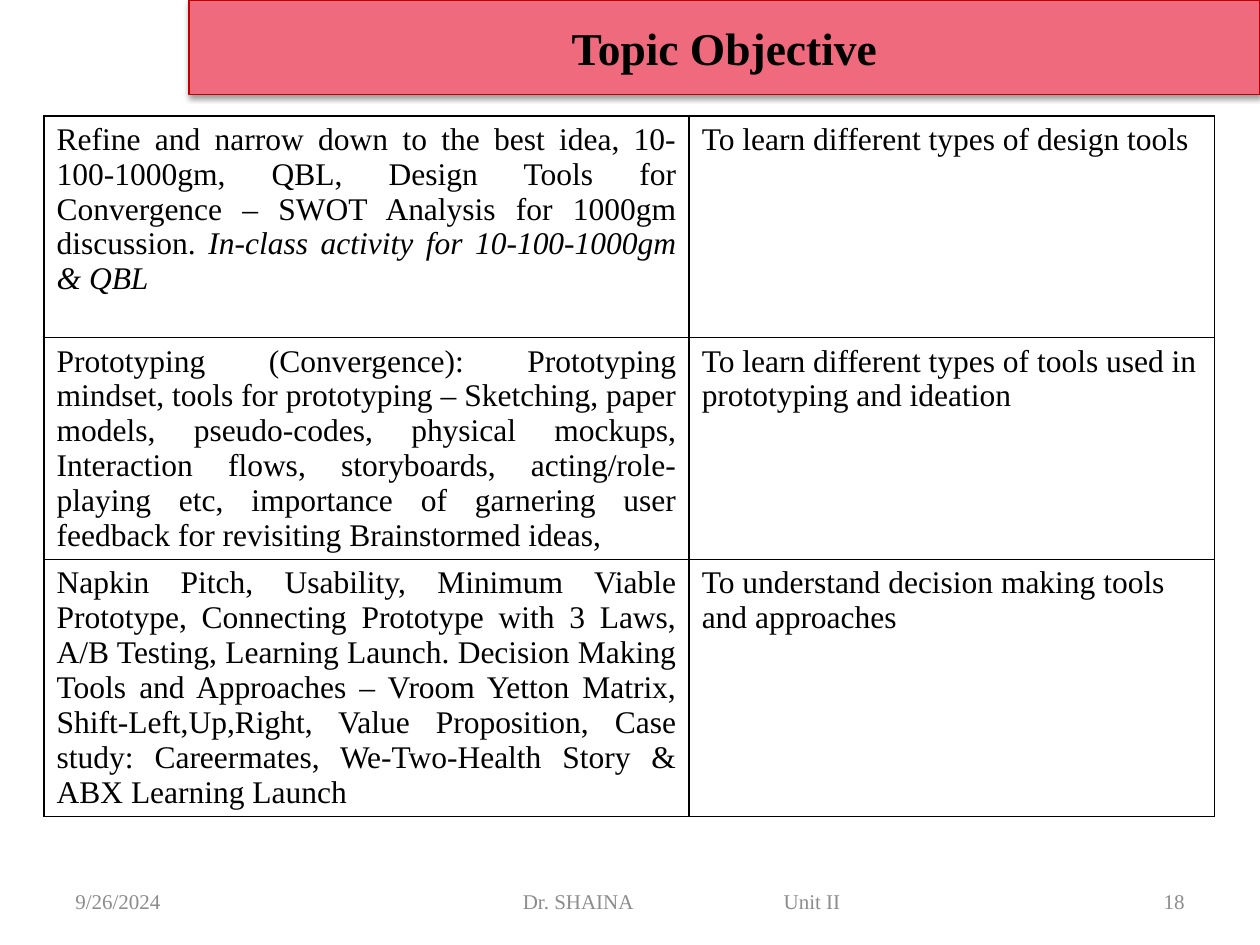
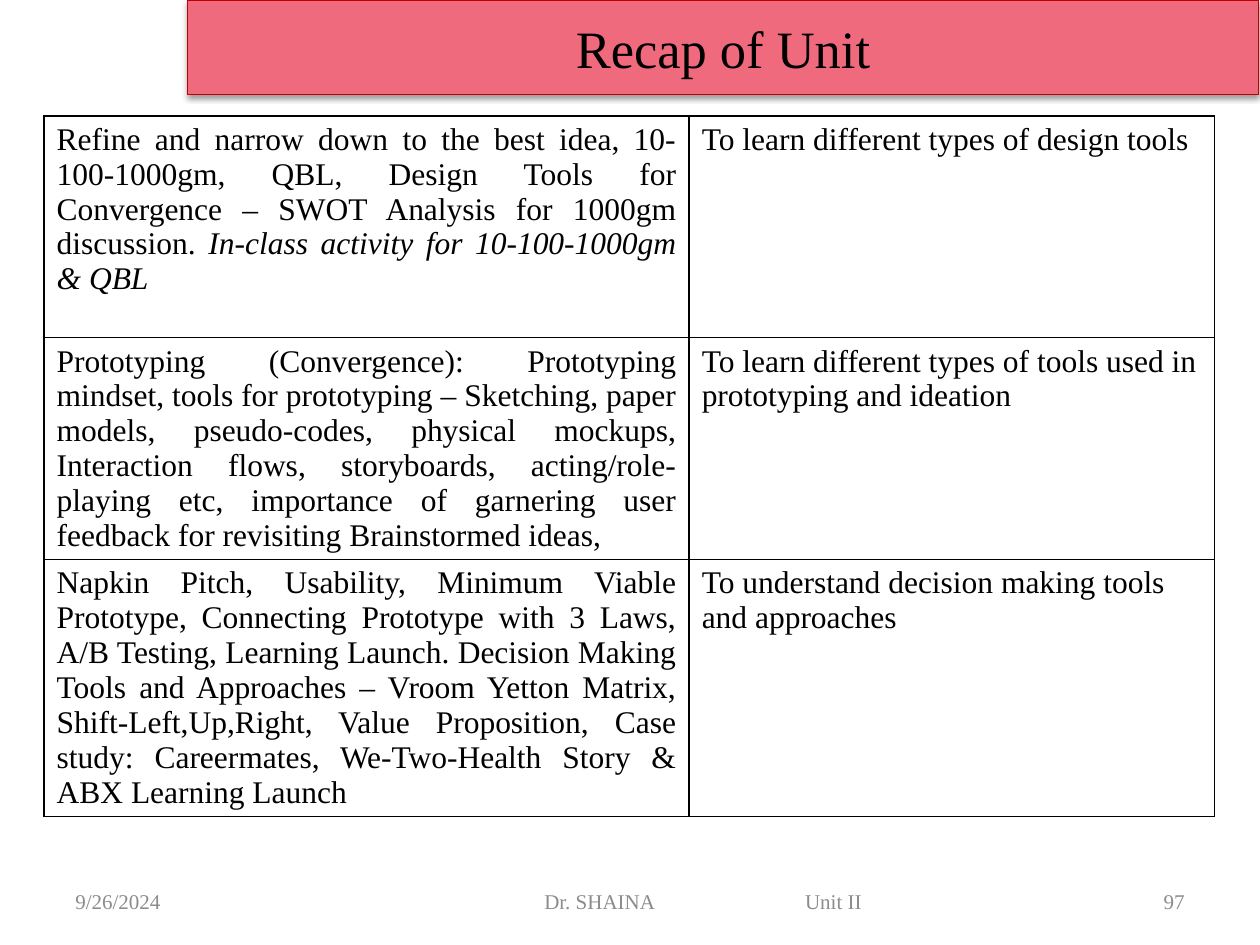
from lxml.etree import SubElement
from pptx import Presentation
from pptx.dml.color import RGBColor
from pptx.enum.text import MSO_ANCHOR, MSO_AUTO_SIZE, PP_ALIGN
from pptx.oxml import parse_xml
from pptx.oxml.ns import nsdecls, qn
from pptx.util import Inches, Pt

FONT = "Times New Roman"
BAND_FILL = RGBColor(0xF0, 0x6A, 0x7D)
BAND_LINE = RGBColor(0xC0, 0x00, 0x00)
BLACK = RGBColor(0x00, 0x00, 0x00)
GREY = RGBColor(0x8C, 0x8C, 0x8C)

DATE = "9/26/2024"
FOOTER = "Dr. SHAINA\tUnit II"
COLUMN_WIDTHS = [5.12, 4.17]
ROW_HEIGHTS = [1.76, 1.76, 2.04]
TOPICS = [
    (
        "Refine and narrow down to the best idea, 10-100-1000gm, QBL, Design Tools "
        "for Convergence – SWOT Analysis for 1000gm discussion. ",
        "In-class activity for 10-100-1000gm & QBL",
        "To learn different types of design tools",
    ),
    (
        "Prototyping (Convergence): Prototyping mindset, tools for prototyping – "
        "Sketching, paper models, pseudo-codes, physical mockups, Interaction flows, "
        "storyboards, acting/role-playing etc, importance of garnering user feedback "
        "for revisiting Brainstormed ideas,",
        "",
        "To learn different types of tools used in prototyping and ideation",
    ),
    (
        "Napkin Pitch, Usability, Minimum Viable Prototype, Connecting Prototype with "
        "3 Laws, A/B Testing, Learning Launch. Decision Making Tools and Approaches – "
        "Vroom Yetton Matrix, Shift-Left,Up,Right, Value Proposition, Case study: "
        "Careermates, We-Two-Health Story & ABX Learning Launch",
        "",
        "To understand decision making tools and approaches",
    ),
]
SLIDES = [
    {"title": "Topic Objective", "size": 26, "bold": True,
     "band_left": 1.5, "footer_left": 2.58, "number": "18"},
    {"title": "Recap of Unit", "size": 30, "bold": False,
     "band_left": 1.49, "footer_left": 2.75, "number": "97"},
]


def add_text(paragraph, text, size=18, color=BLACK, bold=False, italic=False,
             align=PP_ALIGN.LEFT):
    paragraph.alignment = align
    run = paragraph.add_run()
    run.text = text
    run.font.name = FONT
    run.font.size = Pt(size)
    run.font.color.rgb = color
    run.font.bold = bold
    run.font.italic = italic


def add_borders(cell):
    properties = cell._tc.get_or_add_tcPr()
    for position, side in enumerate(("lnL", "lnR", "lnT", "lnB")):
        border = parse_xml(
            f'<a:{side} {nsdecls("a")} w="12700"><a:solidFill>'
            f'<a:srgbClr val="{BLACK}"/></a:solidFill></a:{side}>')
        properties.insert(position, border)


presentation = Presentation()
presentation.slide_width = Inches(10)
presentation.slide_height = Inches(7.5)
title_only = presentation.slide_layouts.get_by_name("Title Only")

for content in SLIDES:
    slide = presentation.slides.add_slide(title_only)

    band = slide.shapes.title
    band.left, band.top = Inches(content["band_left"]), Inches(0)
    band.width, band.height = Inches(8.5), Inches(0.75)
    band.fill.solid()
    band.fill.fore_color.rgb = BAND_FILL
    band.line.color.rgb = BAND_LINE
    band.line.width = Pt(0.75)
    band._element.spPr.append(parse_xml(
        f'<a:effectLst {nsdecls("a")}><a:outerShdw blurRad="40000" dist="20000" '
        f'dir="5400000" rotWithShape="0"><a:srgbClr val="{BLACK}">'
        '<a:alpha val="38000"/></a:srgbClr></a:outerShdw></a:effectLst>'))
    band.text_frame.auto_size = MSO_AUTO_SIZE.NONE
    band.text_frame.vertical_anchor = MSO_ANCHOR.MIDDLE
    add_text(band.text_frame.paragraphs[0], content["title"], size=content["size"],
             bold=content["bold"], align=PP_ALIGN.CENTER)

    table = slide.shapes.add_table(
        len(TOPICS), 2, Inches(0.35), Inches(0.92),
        Inches(sum(COLUMN_WIDTHS)), Inches(sum(ROW_HEIGHTS))).table
    table.first_row = False
    table.horz_banding = False
    for column, width in zip(table.columns, COLUMN_WIDTHS):
        column.width = Inches(width)
    for row, height, (topic, activity, objective) in zip(table.rows, ROW_HEIGHTS, TOPICS):
        row.height = Inches(height)
        topic_cell, objective_cell = row.cells
        topic_paragraph = topic_cell.text_frame.paragraphs[0]
        add_text(topic_paragraph, topic, align=PP_ALIGN.JUSTIFY)
        if activity:
            add_text(topic_paragraph, activity, italic=True, align=PP_ALIGN.JUSTIFY)
        add_text(objective_cell.text_frame.paragraphs[0], objective)
        for cell in row.cells:
            cell.fill.background()
            add_borders(cell)

    footers = [
        (DATE, 0.5, 2.33, 0.1, PP_ALIGN.LEFT),
        (FOOTER, content["footer_left"], 5.67, 1.57, PP_ALIGN.LEFT),
        (content["number"], 7.17, 2.33, 0.1, PP_ALIGN.RIGHT),
    ]
    for text, left, width, inset, align in footers:
        box = slide.shapes.add_textbox(Inches(left), Inches(6.95), Inches(width), Inches(0.4))
        frame = box.text_frame
        frame.word_wrap = True
        frame.vertical_anchor = MSO_ANCHOR.MIDDLE
        frame.margin_left = Inches(inset)
        paragraph = frame.paragraphs[0]
        if "\t" in text:
            tab_list = SubElement(paragraph._p.get_or_add_pPr(), qn("a:tabLst"))
            SubElement(tab_list, qn("a:tab"), pos=str(Inches(2.07)), algn="l")
        add_text(paragraph, text, size=12, color=GREY, align=align)

presentation.save("out.pptx")
